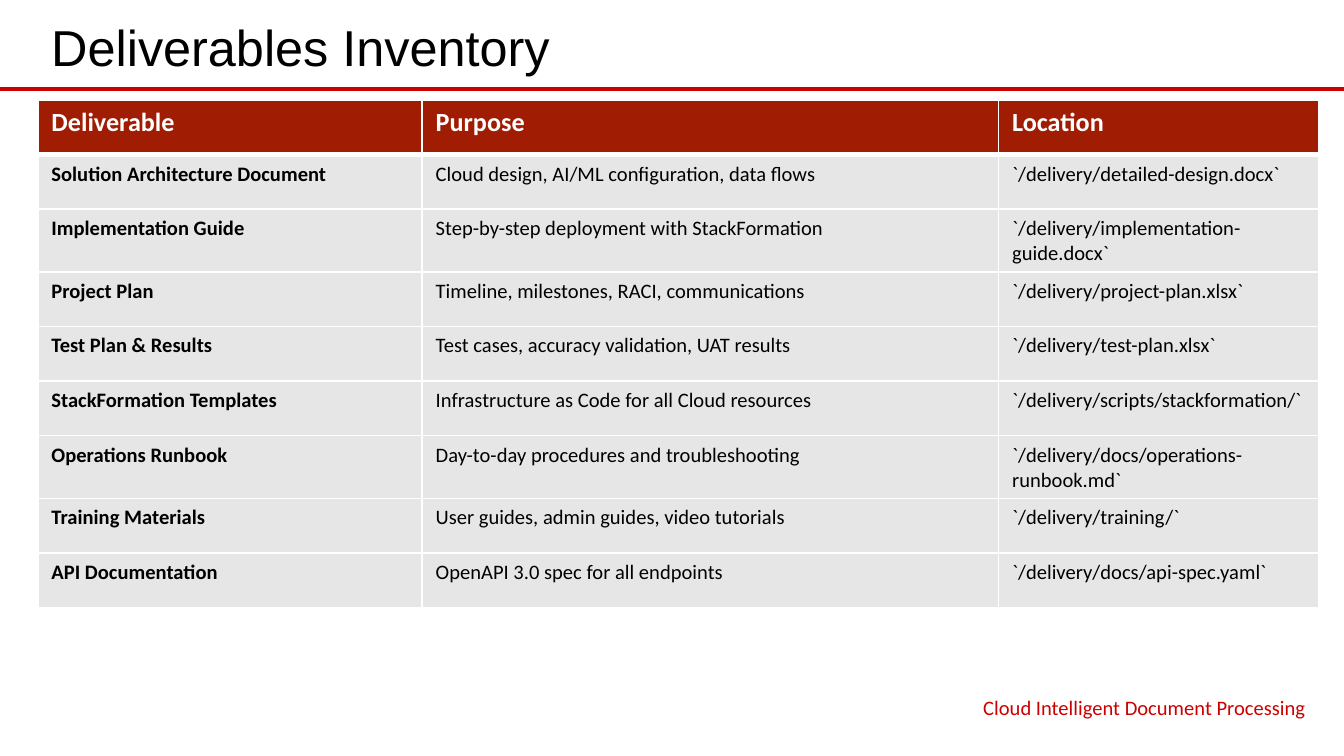
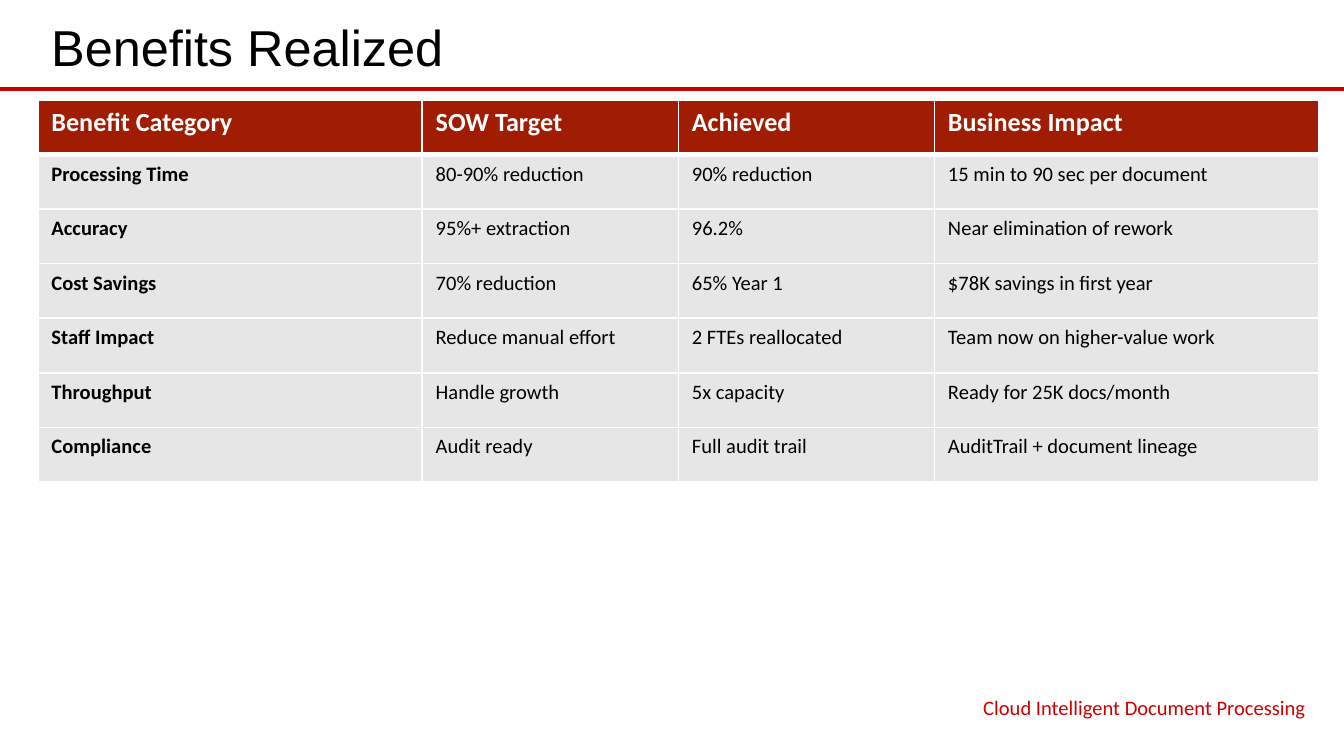
"""Builds two project closing slides: a deliverables inventory and the benefits realized."""
import pptx
import pptx.dml.color
import pptx.enum.shapes
import pptx.enum.text
import pptx.oxml.ns
import pptx.util
from lxml import etree

ANCHOR = pptx.enum.text.MSO_ANCHOR
ALIGN = pptx.enum.text.PP_ALIGN
FOOTER = "Cloud Intelligent Document Processing"

DELIVERABLES = [
    ("Deliverable", "Purpose", "Location"),
    ("Solution Architecture Document", "Cloud design, AI/ML configuration, data flows",
     "`/delivery/detailed-design.docx`"),
    ("Implementation Guide", "Step-by-step deployment with StackFormation",
     "`/delivery/implementation-guide.docx`"),
    ("Project Plan", "Timeline, milestones, RACI, communications",
     "`/delivery/project-plan.xlsx`"),
    ("Test Plan & Results", "Test cases, accuracy validation, UAT results",
     "`/delivery/test-plan.xlsx`"),
    ("StackFormation Templates", "Infrastructure as Code for all Cloud resources",
     "`/delivery/scripts/stackformation/`"),
    ("Operations Runbook", "Day-to-day procedures and troubleshooting",
     "`/delivery/docs/operations-runbook.md`"),
    ("Training Materials", "User guides, admin guides, video tutorials",
     "`/delivery/training/`"),
    ("API Documentation", "OpenAPI 3.0 spec for all endpoints",
     "`/delivery/docs/api-spec.yaml`"),
]

BENEFITS = [
    ("Benefit Category", "SOW Target", "Achieved", "Business Impact"),
    ("Processing Time", "80-90% reduction", "90% reduction", "15 min to 90 sec per document"),
    ("Accuracy", "95%+ extraction", "96.2%", "Near elimination of rework"),
    ("Cost Savings", "70% reduction", "65% Year 1", "$78K savings in first year"),
    ("Staff Impact", "Reduce manual effort", "2 FTEs reallocated", "Team now on higher-value work"),
    ("Throughput", "Handle growth", "5x capacity", "Ready for 25K docs/month"),
    ("Compliance", "Audit ready", "Full audit trail", "AuditTrail + document lineage"),
]


def px(n):
    return pptx.util.Emu(round(n * 914400 / 134.4))


def rgb(value):
    return pptx.dml.color.RGBColor.from_string(value)


class Deck:
    RED, HEADER, BODY, BLACK, WHITE = "CC0000", "A01C02", "E7E6E6", "000000", "FFFFFF"
    LEFT, WIDTH = 38, 1281

    def __init__(self):
        self.prs = pptx.Presentation()
        self.prs.slide_width, self.prs.slide_height = px(1344), px(756)

    def slide(self, title):
        self.s = self.prs.slides.add_slide(self.prs.slide_layouts[6])
        self.line(0, 89, 1344, 89)
        self.text(title, self.LEFT, 5, self.WIDTH, 78, 27, "Arial", self.BLACK,
                  anchor=ANCHOR.BOTTOM)
        self.text(FOOTER, 845, 688, 474, 35, 11, "Calibri", self.RED, align=ALIGN.RIGHT)

    def line(self, x1, y1, x2, y2):
        sp = self.s.shapes.add_connector(
            pptx.enum.shapes.MSO_CONNECTOR.STRAIGHT, px(x1), px(y1), px(x2), px(y2))
        sp.line.color.rgb = rgb(self.RED)
        sp.line.width = pptx.util.Pt(2.25)
        etree.SubElement(sp._element.spPr, pptx.oxml.ns.qn("a:effectLst"))

    def style(self, p, size, font, color, bold=False):
        for r in p.runs:
            r.font.size = pptx.util.Pt(size)
            r.font.name = font
            r.font.bold = bold
            r.font.color.rgb = rgb(color)

    def text(self, text, x, y, w, h, size, font, color, align=ALIGN.LEFT, anchor=ANCHOR.TOP):
        tf = self.s.shapes.add_textbox(px(x), px(y), px(w), px(h)).text_frame
        tf.word_wrap = True
        tf.vertical_anchor = anchor
        tf.text = text
        p = tf.paragraphs[0]
        p.alignment = align
        self.style(p, size, font, color)

    def borders(self, cell, top, bottom):
        tc_pr = cell._tc.get_or_add_tcPr()
        qn = pptx.oxml.ns.qn
        for side, width in (("L", 1), ("R", 1), ("T", top), ("B", bottom)):
            ln = etree.SubElement(tc_pr, qn("a:ln" + side), w=str(pptx.util.Pt(width)))
            fill = etree.SubElement(ln, qn("a:solidFill"))
            etree.SubElement(fill, qn("a:srgbClr"), val=self.WHITE)

    def table(self, rows, shares, height):
        table = self.s.shapes.add_table(
            len(rows), len(shares), px(self.LEFT), px(100), px(self.WIDTH), px(height)).table
        table.horz_banding = False
        for column, share in zip(table.columns, shares):
            column.width = px(self.WIDTH * share / 100)
        for i, row in enumerate(rows):
            for j, text in enumerate(row):
                cell = table.cell(i, j)
                head = i == 0
                self.borders(cell, 3 if i == 1 else 1, 3 if head else 1)
                cell.fill.solid()
                cell.fill.fore_color.rgb = rgb(self.HEADER if head else self.BODY)
                cell.text_frame.text = text
                self.style(cell.text_frame.paragraphs[0], 14 if head else 11, "Calibri",
                           self.WHITE if head else self.BLACK, head or j == 0)


def main():
    deck = Deck()
    deck.slide("Deliverables Inventory")
    deck.table(DELIVERABLES, (30, 45, 25), 491)
    deck.slide("Benefits Realized")
    deck.table(BENEFITS, (30, 20, 20, 30), 382)
    deck.prs.save("out.pptx")


if __name__ == "__main__":
    main()
